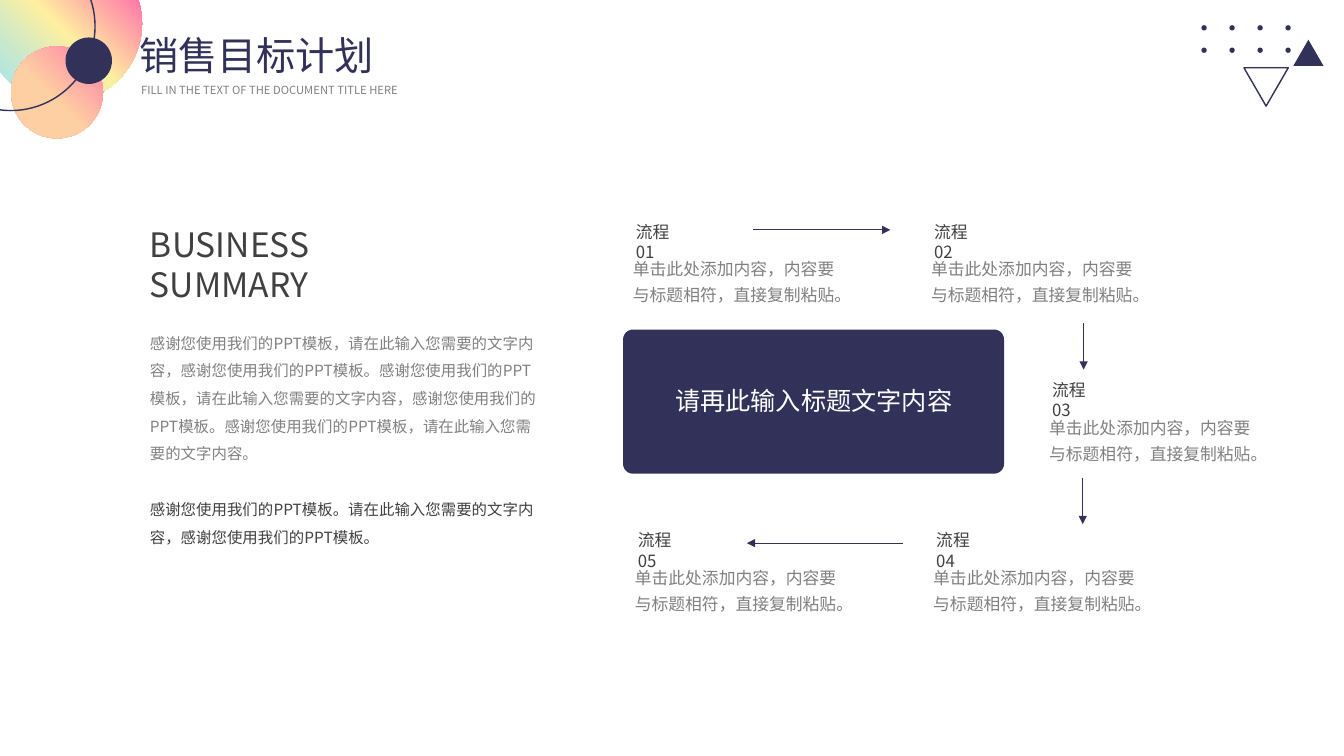
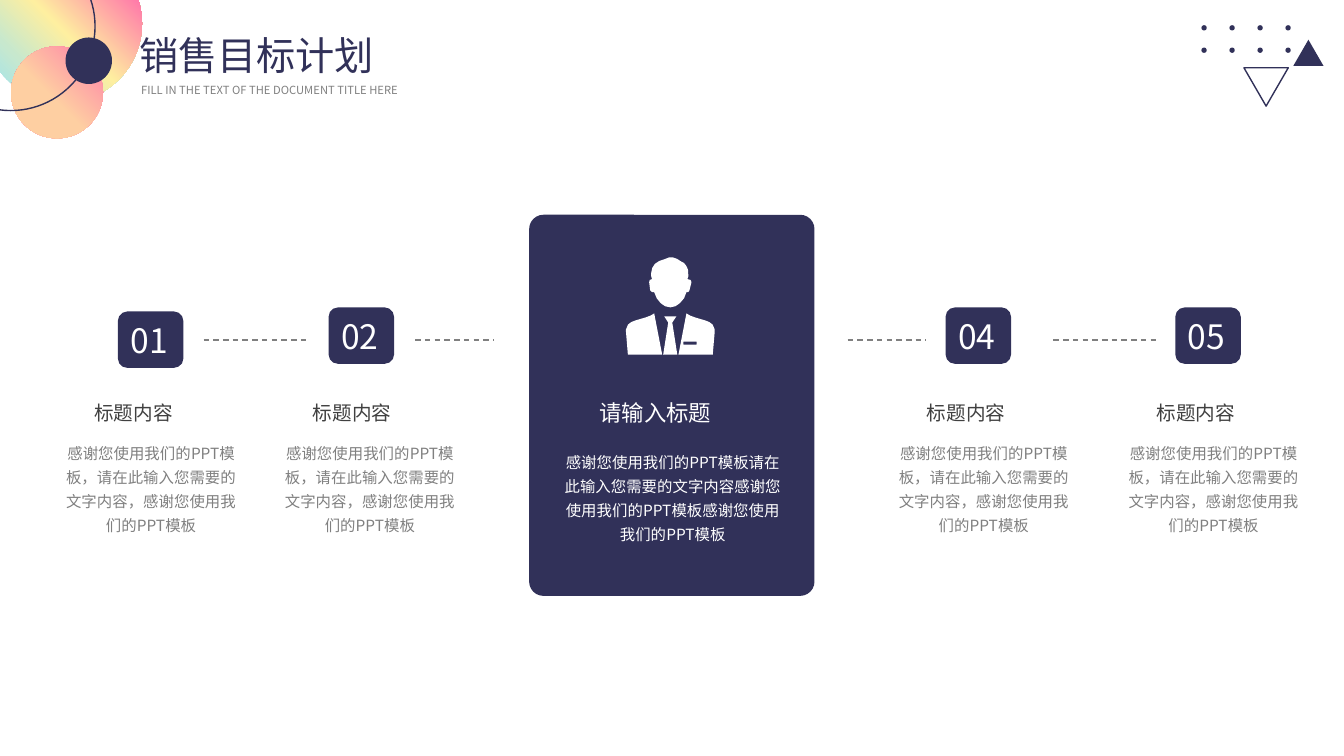
from dataclasses import dataclass
from typing import NamedTuple, Sequence

from lxml.etree import SubElement
from pptx import Presentation
from pptx.dml.color import RGBColor
from pptx.enum.dml import MSO_LINE
from pptx.enum.shapes import MSO_CONNECTOR, MSO_SHAPE
from pptx.enum.text import MSO_ANCHOR, MSO_AUTO_SIZE, PP_ALIGN
from pptx.oxml import parse_xml
from pptx.oxml.ns import nsdecls, qn
from pptx.slide import Slide, SlideLayout
from pptx.util import Pt


@dataclass(frozen=True)
class Theme:
    font: str = "Noto Sans CJK SC"
    navy: str = "313159"
    dark: str = "404040"
    grey: str = "808080"
    white: str = "FFFFFF"
    title: float = 28
    display: float = 24
    banner: float = 18
    card_heading: float = 16
    heading: float = 14
    label: float = 12
    body: float = 11
    caption: float = 8
    line_height: float = 1.2


THEME = Theme()


class Box(NamedTuple):
    left: float
    top: float
    width: float
    height: float


class Style(NamedTuple):
    size: float
    color: str
    spacing: float = 1
    align: PP_ALIGN = PP_ALIGN.LEFT


class Step(NamedTuple):
    number: str
    left: float
    top: float


class Line(NamedTuple):
    start_x: float
    start_y: float
    end_x: float
    end_y: float


class Column(NamedTuple):
    number: str
    text_left: float
    badge_left: float
    badge_top: float


STEP_TEXT = "单击此处添加内容，内容要与标题相符，直接复制粘贴。"
STEPS = [
    Step("01", 445, 177),
    Step("02", 658, 177),
    Step("03", 742.3, 290.2),
    Step("04", 659.5, 397.4),
    Step("05", 446.4, 397.4),
]
STEP_ARROWS = [
    Line(538, 164.2, 636, 164.2),
    Line(774, 231, 774, 264),
    Line(773.4, 341.3, 773.4, 374.4),
    Line(645, 388, 533.5, 388),
]
SUMMARY = [
    ("感谢您使用我们的PPT模板，请在此输入您需要的文字内容，感谢您使用我们的PPT模板。"
     "感谢您使用我们的PPT模板，请在此输入您需要的文字内容，感谢您使用我们的PPT模板。"
     "感谢您使用我们的PPT模板，请在此输入您需要的文字内容。", THEME.grey),
    ("感谢您使用我们的PPT模板。请在此输入您需要的文字内容，感谢您使用我们的PPT模板。", THEME.dark),
]

COLUMN_TEXT = "感谢您使用我们的PPT模板，请在此输入您需要的文字内容，感谢您使用我们的PPT模板"
CARD_TEXT = "感谢您使用我们的PPT模板请在此输入您需要的文字内容感谢您使用我们的PPT模板感谢您使用我们的PPT模板"
COLUMNS = [
    Column("01", 37.4, 84.2, 222.5),
    Column("02", 193.7, 234.7, 219.6),
    Column("04", 632.2, 675.4, 219.6),
    Column("05", 796.3, 839.5, 219.6),
]
DASH_TOP = 242.8
DASHES = [(145.4, 220.3), (296.6, 352.8), (605.5, 661.7), (752.4, 827.3)]

HEAD = [
    (43.2, 25.2), (41.5, 29.5), (38.5, 33), (35.3, 35.2), (31.7, 36), (28, 35.2),
    (24.8, 33), (22, 29.5), (20.2, 25.2), (18.4, 25), (17.3, 23.8), (16.6, 18),
    (17, 16.4), (18.7, 15.8), (18, 13.7), (18, 11.5), (18.8, 7.8), (20.7, 4.9),
    (23.7, 2.9), (28.1, 1.4), (31, 0.2), (33.5, 0.3), (36.7, 1.4), (38.9, 2.9),
    (41.5, 4.3), (43.2, 6.5), (44.3, 9), (44.6, 13.7), (43.9, 15.8), (46.2, 16.4),
    (46.8, 18), (45.4, 23.8), (44.6, 25),
]
POCKET = [(41, 60.5), (50.4, 60.5), (50.4, 62.6), (41, 62.6)]
TIE = [(27.4, 42.5), (36, 42.5), (33.1, 46.8), (36.7, 69.8), (26.6, 69.8), (30.2, 46.8)]
LEFT_JACKET = [
    (1.4, 69.8), (0, 53.3), (0, 51.8), (1.5, 48.3), (3.8, 46.5), (6.5, 45.4),
    (14, 43.2), (17.7, 41.8), (20.2, 40.3), (25.9, 69.8),
]
RIGHT_JACKET = [(63.4 - x, y) for x, y in LEFT_JACKET]


def points(box: Box) -> list:
    return [Pt(length) for length in box]


def write(shape, paragraphs: Sequence[tuple], style: Style, gap: float = 0) -> None:
    """Fill a shape with (text, colour) paragraphs separated by gap points."""
    frame = shape.text_frame
    frame.word_wrap = True
    frame.auto_size = MSO_AUTO_SIZE.NONE
    for index, (text, color) in enumerate(paragraphs):
        paragraph = frame.add_paragraph() if index else frame.paragraphs[0]
        if shape.is_placeholder:
            properties = paragraph._p.get_or_add_pPr()
            properties.set("marL", "0")
            properties.set("indent", "0")
            SubElement(properties, qn("a:buNone"))
        paragraph.alignment = style.align
        paragraph.line_spacing = Pt(round(style.size * THEME.line_height * style.spacing, 1))
        paragraph.space_before = Pt(gap if index else 0)
        run = paragraph.add_run()
        run.text = text
        run.font.size = Pt(style.size)
        run.font.color.rgb = RGBColor.from_string(color)
        run.font.name = THEME.font
        SubElement(run._r.get_or_add_rPr(), qn("a:ea")).set("typeface", THEME.font)


def add_text(slide: Slide, box: Box, text: str, style: Style) -> None:
    write(slide.shapes.add_textbox(*points(box)), [(text, style.color)], style)


def add_preset(slide: Slide, kind: MSO_SHAPE, box: Box, fill: str = "", outline: str = ""):
    shape = slide.shapes.add_shape(kind, *points(box))
    shape.shadow.inherit = False
    if fill:
        shape.fill.solid()
        shape.fill.fore_color.rgb = RGBColor.from_string(fill)
    else:
        shape.fill.background()
    if outline:
        shape.line.color.rgb = RGBColor.from_string(outline)
        shape.line.width = Pt(1)
    else:
        shape.line.fill.background()
    return shape


def add_line(slide: Slide, line: Line, color: str, width: float,
             arrow: bool = False, dashed: bool = False) -> None:
    connector = slide.shapes.add_connector(
        MSO_CONNECTOR.STRAIGHT, *(Pt(length) for length in line))
    connector.line.color.rgb = RGBColor.from_string(color)
    connector.line.width = Pt(width)
    if dashed:
        connector.line.dash_style = MSO_LINE.DASH
    properties = connector.element.spPr
    if arrow:
        SubElement(properties.find(qn("a:ln")), qn("a:tailEnd")).set("type", "triangle")
    SubElement(properties, qn("a:effectLst"))


def set_gradient(shape, stops: Sequence[tuple], direction: str) -> None:
    """Replace the fill with (percent, colour) stops and a direction element."""
    stop_xml = "".join(
        f'<a:gs pos="{percent * 1000}"><a:srgbClr val="{color}"/></a:gs>'
        for percent, color in stops)
    gradient = parse_xml(
        f'<a:gradFill {nsdecls("a")} rotWithShape="1"><a:gsLst>{stop_xml}</a:gsLst>'
        f'{direction}</a:gradFill>')
    properties = shape.element.spPr
    properties.replace(properties.find(qn("a:noFill")), gradient)


def decorate_layout(layout: SlideLayout, slide: Slide) -> None:
    """Draw the corner ornaments on a slide, then move them to its layout."""
    for placeholder in list(layout.placeholders):
        if placeholder.placeholder_format.idx >= 10:
            layout.shapes.element.remove(placeholder.element)

    large_circle = add_preset(slide, MSO_SHAPE.OVAL, Box(-11.5, -39.6, 113, 113))
    set_gradient(
        large_circle,
        [(7, "A3E4EC"), (25, "C7E8CE"), (48, "FEEFA0"), (81, "FF7CA9")],
        '<a:lin ang="18900000" scaled="0"/>')
    small_circle = add_preset(slide, MSO_SHAPE.OVAL, Box(7.9, 33.1, 65.7, 65.7))
    set_gradient(
        small_circle, [(44, "FECFA2"), (100, "FF7CA9")],
        '<a:path path="circle"><a:fillToRect t="100000" r="100000"/></a:path>')
    ornaments = [
        large_circle,
        small_circle,
        add_preset(slide, MSO_SHAPE.OVAL, Box(46.8, 26.8, 33.2, 33.2), THEME.navy),
        add_preset(slide, MSO_SHAPE.OVAL, Box(-52.6, -41.5, 120.5, 120.5), outline=THEME.navy),
        add_preset(slide, MSO_SHAPE.ISOSCELES_TRIANGLE, Box(923.8, 28.4, 21.6, 18.7), THEME.navy),
    ]
    hollow_triangle = add_preset(
        slide, MSO_SHAPE.ISOSCELES_TRIANGLE, Box(888.5, 48.4, 31.7, 27.4), outline=THEME.navy)
    hollow_triangle.rotation = 180
    ornaments.append(hollow_triangle)
    for column in range(4):
        for row in range(2):
            dot = Box(858.2 + 20 * column, 18 + 16 * row, 3.8, 3.8)
            ornaments.append(add_preset(slide, MSO_SHAPE.OVAL, dot, THEME.navy))
    for ornament in ornaments:
        layout.shapes.element.append(ornament.element)


def add_titled_slide(presentation: Presentation, layout: SlideLayout) -> Slide:
    slide = presentation.slides.add_slide(layout)
    headings = [
        (slide.shapes.title, Box(92.2, 18.7, 200.9, 41), "销售目标计划",
         Style(THEME.title, THEME.navy)),
        (slide.placeholders[1], Box(93.6, 56.2, 215, 17.3),
         "FILL IN THE TEXT OF THE DOCUMENT TITLE HERE", Style(THEME.caption, THEME.grey)),
    ]
    for shape, box, text, style in headings:
        shape.left, shape.top, shape.width, shape.height = points(box)
        shape.text_frame.vertical_anchor = MSO_ANCHOR.TOP
        write(shape, [(text, style.color)], style)
    return slide


def build_process_slide(slide: Slide) -> None:
    banner = add_preset(slide, MSO_SHAPE.ROUNDED_RECTANGLE, Box(445, 235.4, 272.2, 103), THEME.navy)
    banner.adjustments[0] = 0.07
    add_text(slide, Box(475.2, 271.4, 220, 28.8), "请再此输入标题文字内容",
             Style(THEME.banner, THEME.white))
    for step in STEPS:
        add_text(slide, Box(step.left + 2.2, step.top - 22.3, 50, 36),
                 f"流程 {step.number}", Style(THEME.label, THEME.dark))
        add_text(slide, Box(step.left, step.top, 169.2, 44), STEP_TEXT,
                 Style(THEME.label, THEME.grey, 1.3))
    for arrow in STEP_ARROWS:
        add_line(slide, arrow, THEME.navy, 0.5, arrow=True)

    heading = slide.shapes.add_textbox(*points(Box(100, 156.2, 145, 65.5)))
    write(heading, [("BUSINESS", THEME.dark), ("SUMMARY", THEME.dark)],
          Style(THEME.display, THEME.dark))
    summary = slide.shapes.add_textbox(*points(Box(100, 228.2, 292.3, 166)))
    write(summary, SUMMARY, Style(THEME.body, THEME.grey, 1.5), gap=19.8)


def add_person_icon(slide: Slide, left: float, top: float) -> None:
    builder = slide.shapes.build_freeform(scale=Pt(1) / 10)
    for contour in (HEAD, POCKET, TIE, LEFT_JACKET, RIGHT_JACKET):
        tenths = [(round(x * 10), round(y * 10)) for x, y in contour]
        builder.move_to(*tenths[0])
        builder.add_line_segments(tenths[1:], close=True)
    person = builder.convert_to_shape(Pt(left), Pt(top))
    person.shadow.inherit = False
    person.fill.solid()
    person.fill.fore_color.rgb = RGBColor.from_string(THEME.white)
    person.line.fill.background()


def build_columns_slide(slide: Slide) -> None:
    card = add_preset(slide, MSO_SHAPE.ROUNDED_RECTANGLE, Box(378, 153.4, 203.8, 272.2), THEME.navy)
    card.adjustments[0] = 0.05
    add_person_icon(slide, 447.1, 183.6)
    add_text(slide, Box(421.2, 281.5, 116.6, 26.6), "请输入标题",
             Style(THEME.card_heading, THEME.white))
    add_text(slide, Box(393.8, 316.1, 173.5, 76), CARD_TEXT,
             Style(THEME.body, THEME.white, 1.3, PP_ALIGN.CENTER))

    for column in COLUMNS:
        badge = add_preset(slide, MSO_SHAPE.ROUNDED_RECTANGLE,
                           Box(column.badge_left, column.badge_top, 46.8, 40.3), THEME.navy)
        badge.text_frame.vertical_anchor = MSO_ANCHOR.MIDDLE
        write(badge, [(column.number, THEME.white)], Style(THEME.display, THEME.white))
        add_text(slide, Box(column.text_left + 22.8, 283, 96.5, 24.5), "标题内容",
                 Style(THEME.heading, THEME.dark))
        add_text(slide, Box(column.text_left, 309.6, 141.1, 76), COLUMN_TEXT,
                 Style(THEME.body, THEME.grey, 1.3, PP_ALIGN.CENTER))
    for start, end in DASHES:
        add_line(slide, Line(start, DASH_TOP, end, DASH_TOP), THEME.grey, 1, dashed=True)


def main() -> None:
    presentation = Presentation()
    presentation.slide_width, presentation.slide_height = Pt(960), Pt(540)
    layout = presentation.slide_layouts[1]
    process_slide = add_titled_slide(presentation, layout)
    decorate_layout(layout, process_slide)
    build_process_slide(process_slide)
    build_columns_slide(add_titled_slide(presentation, layout))
    presentation.save("out.pptx")


if __name__ == "__main__":
    main()
